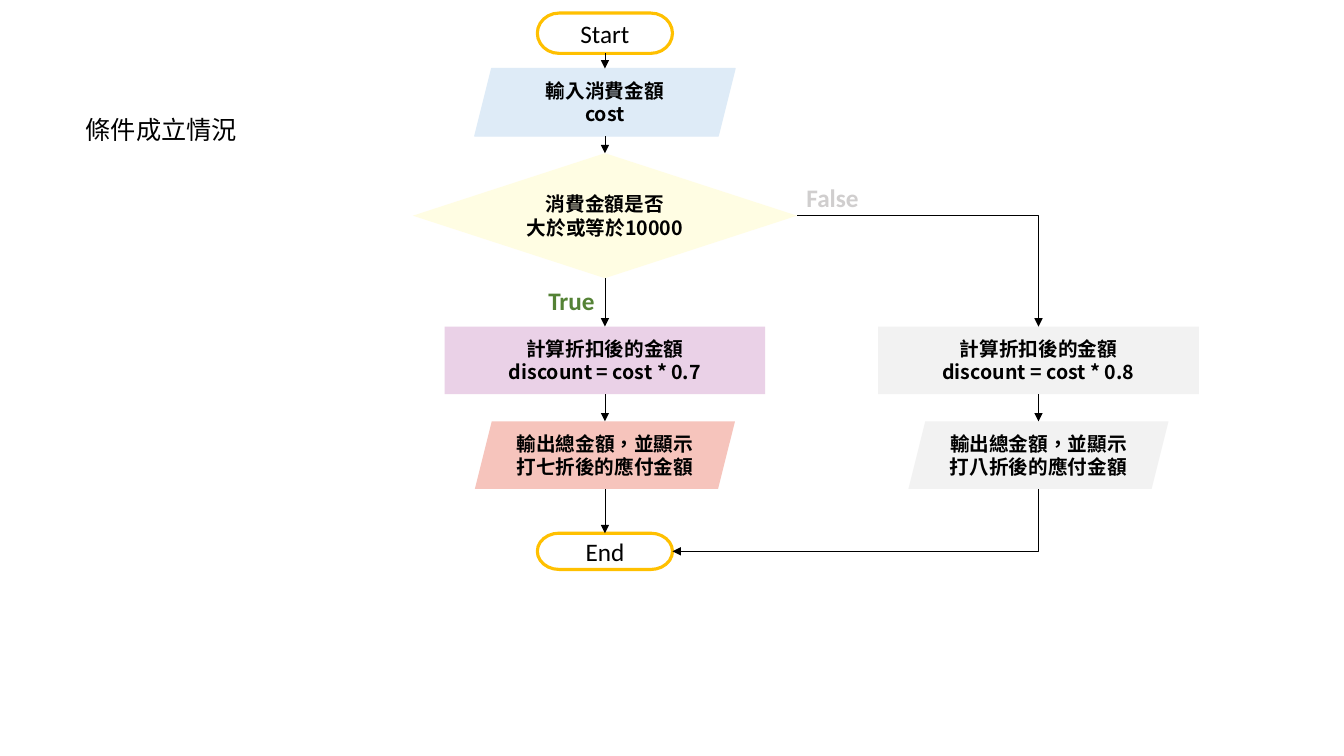
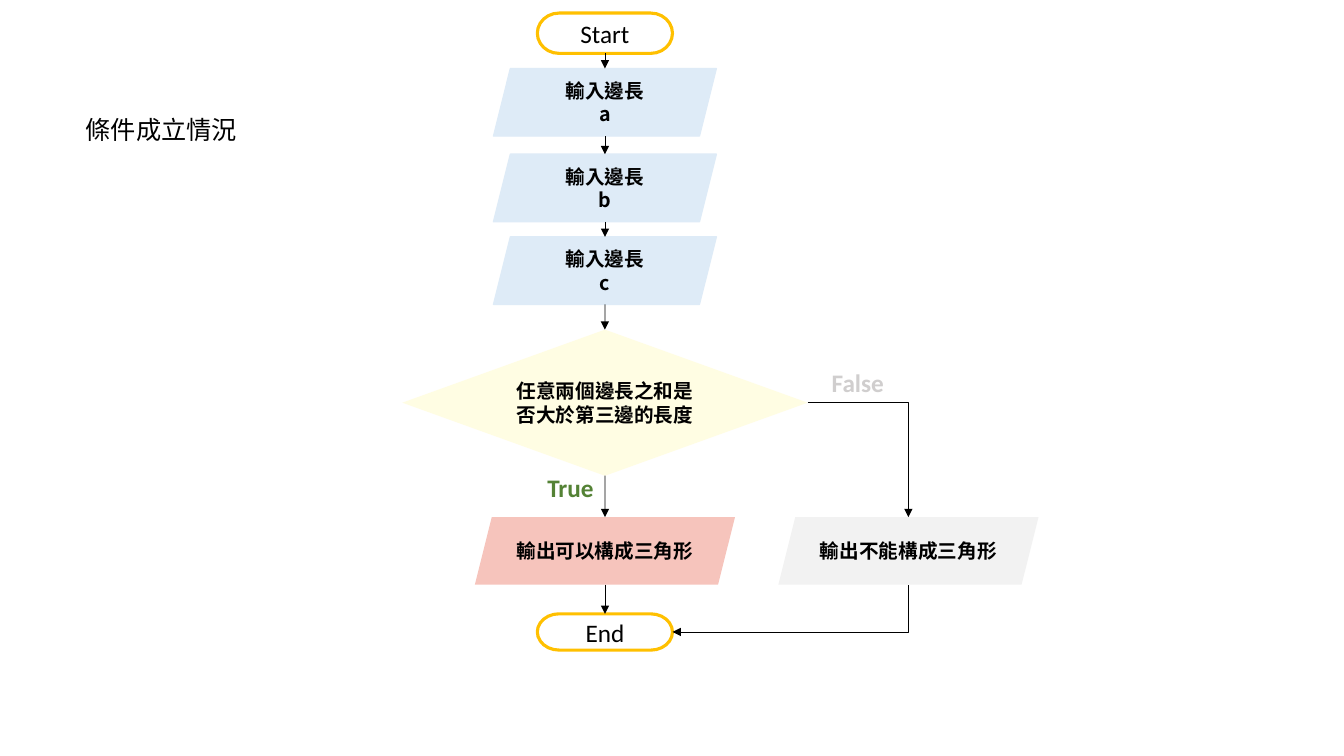
from itertools import pairwise

from lxml.etree import SubElement
from pptx import Presentation
from pptx.dml.color import RGBColor
from pptx.enum.lang import MSO_LANGUAGE_ID
from pptx.enum.shapes import MSO_CONNECTOR, MSO_SHAPE
from pptx.enum.text import MSO_ANCHOR, MSO_AUTO_SIZE, PP_ALIGN
from pptx.oxml.ns import qn
from pptx.util import Inches, Pt

BLACK = RGBColor(0x00, 0x00, 0x00)
WHITE = RGBColor(0xFF, 0xFF, 0xFF)
GOLD = RGBColor(0xFF, 0xC0, 0x00)
BLUE = RGBColor(0xDE, 0xEB, 0xF7)
YELLOW = RGBColor(0xFF, 0xFD, 0xE3)
PURPLE = RGBColor(0xEA, 0xD1, 0xE7)
SALMON = RGBColor(0xF6, 0xC4, 0xBC)
PALE_GRAY = RGBColor(0xF2, 0xF2, 0xF2)
LABEL_GRAY = RGBColor(0xD0, 0xCE, 0xCE)
GREEN = RGBColor(0x54, 0x82, 0x35)

LATIN_FONT = "Calibri"
CHINESE_FONT = "Noto Sans CJK SC"
CHINESE = MSO_LANGUAGE_ID.TRADITIONAL_CHINESE

STEP_TEXT = {"size": Pt(14), "name": CHINESE_FONT, "bold": True, "language_id": CHINESE}
TERMINAL_TEXT = {"size": Pt(18), "name": LATIN_FONT, "bold": False}
LABEL_TEXT = {"size": Pt(18), "name": LATIN_FONT, "bold": True}
TITLE_TEXT = {"size": Pt(18), "name": LATIN_FONT, "bold": False, "language_id": CHINESE}

TERMINAL = {"shape": MSO_SHAPE.FLOWCHART_TERMINATOR, "line": GOLD, "weight": 2.25, "text": TERMINAL_TEXT}
INPUT = {"shape": MSO_SHAPE.PARALLELOGRAM, "line": BLUE, "weight": 1, "text": STEP_TEXT}
OUTPUT = {"shape": MSO_SHAPE.PARALLELOGRAM, "line": None, "text": STEP_TEXT}
PROCESS = {"shape": MSO_SHAPE.RECTANGLE, "line": None, "text": STEP_TEXT}
DECISION = {"shape": MSO_SHAPE.DIAMOND, "line": None, "text": STEP_TEXT}

MAIN_CENTER = 6
STEP_HEIGHT = 0.67
OUTPUT_WIDTH = 2.58
PROCESS_WIDTH = 3.18


def set_values(target, values):
    """Set attributes of an object from a dict."""
    for name, value in values.items():
        setattr(target, name, value)


def write(frame, text, font_values, color, align):
    """Write formatted text, one paragraph per line."""
    frame.text = text
    for para in frame.paragraphs:
        para.alignment = align
        for span in para.runs:
            set_values(span.font, font_values)
            span.font.color.rgb = color
            east_asian = SubElement(span.font._element, qn("a:ea"))
            east_asian.set("typeface", CHINESE_FONT)


def add_title(page, text):
    """Move and format the title placeholder."""
    title = page.shapes.title
    set_values(title, {"left": Inches(0.75), "top": Inches(1.08),
                       "width": Inches(1.72), "height": Inches(0.4)})
    set_values(title.text_frame, {"word_wrap": False, "auto_size": MSO_AUTO_SIZE.NONE,
                                  "vertical_anchor": MSO_ANCHOR.TOP})
    write(title.text_frame, text, TITLE_TEXT, BLACK, PP_ALIGN.LEFT)


def add_label(page, left, top, width, text, color):
    """Add a branch label on one line."""
    box = page.shapes.add_textbox(Inches(left), Inches(top), Inches(width), Inches(0.4))
    set_values(box.text_frame, {"word_wrap": False, "margin_right": 0,
                                "auto_size": MSO_AUTO_SIZE.NONE})
    write(box.text_frame, text, LABEL_TEXT, color, PP_ALIGN.LEFT)


def add_step(page, style, center, top, width, height, fill, text):
    """Add one flowchart box centred on a column."""
    box = page.shapes.add_shape(style["shape"], Inches(center - width / 2), Inches(top),
                                Inches(width), Inches(height))
    box.shadow.inherit = False
    box.fill.solid()
    box.fill.fore_color.rgb = fill
    if style["line"] is None:
        box.line.fill.background()
    else:
        box.line.color.rgb = style["line"]
        box.line.width = Pt(style["weight"])
    set_values(box.text_frame, {"word_wrap": True, "vertical_anchor": MSO_ANCHOR.MIDDLE})
    write(box.text_frame, text, style["text"], BLACK, PP_ALIGN.CENTER)
    return box


def add_arrow(page, start, end, kind=MSO_CONNECTOR.STRAIGHT, arrow_side="tailEnd"):
    """Add a thin black connector with one triangle arrowhead."""
    line = page.shapes.add_connector(kind, *start, *end)
    line.line.color.rgb = BLACK
    line.line.width = Pt(0.5)
    SubElement(line.line._get_or_add_ln(), qn(f"a:{arrow_side}")).set("type", "triangle")
    properties = line._element.spPr
    SubElement(properties, qn("a:effectLst"))
    if kind == MSO_CONNECTOR.ELBOW:
        properties.find(qn("a:prstGeom")).set("prst", "bentConnector2")


def middle(box):
    """Return the horizontal middle of a box."""
    return box.left + box.width // 2


def top_point(box):
    """Return the point where arrows enter a box."""
    return middle(box), box.top


def bottom_point(box):
    """Return the point where arrows leave a box."""
    return middle(box), box.top + box.height


def right_point(box):
    """Return the middle of the right side of a box."""
    return box.left + box.width, box.top + box.height // 2


def add_column(page, center, steps):
    """Add boxes down a column and join them with arrows."""
    boxes = [add_step(page, style, center, *values) for style, *values in steps]
    for upper, lower in pairwise(boxes):
        add_arrow(page, bottom_point(upper), top_point(lower))
    return boxes


def add_flowchart(deck, steps, branch_center, branch_steps, true_at, false_at):
    """Add a slide with a main column and a False branch."""
    page = deck.slides.add_slide(deck.slide_layouts[5])
    add_title(page, "條件成立情況")
    start = (TERMINAL, 0.13, 1.34, 0.4, WHITE, "Start")
    boxes = add_column(page, MAIN_CENTER, [start, *steps])
    branch = add_column(page, branch_center, branch_steps)
    decision = next(box for box in boxes if box.auto_shape_type == MSO_SHAPE.DIAMOND)
    add_arrow(page, right_point(decision), top_point(branch[0]), MSO_CONNECTOR.ELBOW)
    add_arrow(page, right_point(boxes[-1]), bottom_point(branch[-1]),
              MSO_CONNECTOR.ELBOW, "headEnd")
    add_label(page, *true_at, 0.66, "True", GREEN)
    add_label(page, *false_at, 0.72, "False", LABEL_GRAY)


def end_step(top):
    """Describe the End box at a given height."""
    return TERMINAL, top, 1.34, 0.36, WHITE, "End"


def discount_steps(rate, name, process_fill, output_fill):
    """Describe the calculation and output of one discount."""
    return [
        (PROCESS, 3.24, PROCESS_WIDTH, STEP_HEIGHT, process_fill,
         f"計算折扣後的金額\ndiscount = cost * {rate}"),
        (OUTPUT, 4.18, OUTPUT_WIDTH, STEP_HEIGHT, output_fill,
         f"輸出總金額，並顯示打{name}折後的應付金額"),
    ]


def triangle_output(fill, verdict):
    """Describe the output of one triangle verdict."""
    return OUTPUT, 5.13, OUTPUT_WIDTH, STEP_HEIGHT, fill, f"輸出{verdict}構成三角形"


def add_discount_slide(deck):
    """Add the flowchart of the discount."""
    steps = [
        (INPUT, 0.68, OUTPUT_WIDTH, STEP_HEIGHT, BLUE, "輸入消費金額\ncost"),
        (DECISION, 1.52, 3.81, 1.24, YELLOW, "消費金額是否\n大於或等於10000"),
        *discount_steps("0.7", "七", PURPLE, SALMON),
        end_step(5.29),
    ]
    branch = discount_steps("0.8", "八", PALE_GRAY, PALE_GRAY)
    add_flowchart(deck, steps, 10.3, branch, (5.34, 2.78), (7.9, 1.76))


def add_triangle_slide(deck):
    """Add the flowchart of the triangle test."""
    inputs = [(INPUT, top, 2.21, STEP_HEIGHT, BLUE, f"輸入邊長\n{side}")
              for side, top in (("a", 0.68), ("b", 1.53), ("c", 2.35))]
    steps = [
        *inputs,
        (DECISION, 3.27, 4.02, 1.45, YELLOW, "任意兩個邊長之和是否大於第三邊的長度"),
        triangle_output(SALMON, "可以"),
        end_step(6.09),
    ]
    branch = [triangle_output(PALE_GRAY, "不能")]
    add_flowchart(deck, steps, 9.01, branch, (5.33, 4.64), (8.15, 3.59))


def main():
    """Build and save the deck."""
    deck = Presentation()
    set_values(deck, {"slide_width": Inches(13.33), "slide_height": Inches(7.5)})
    add_discount_slide(deck)
    add_triangle_slide(deck)
    deck.save("out.pptx")


if __name__ == "__main__":
    main()
